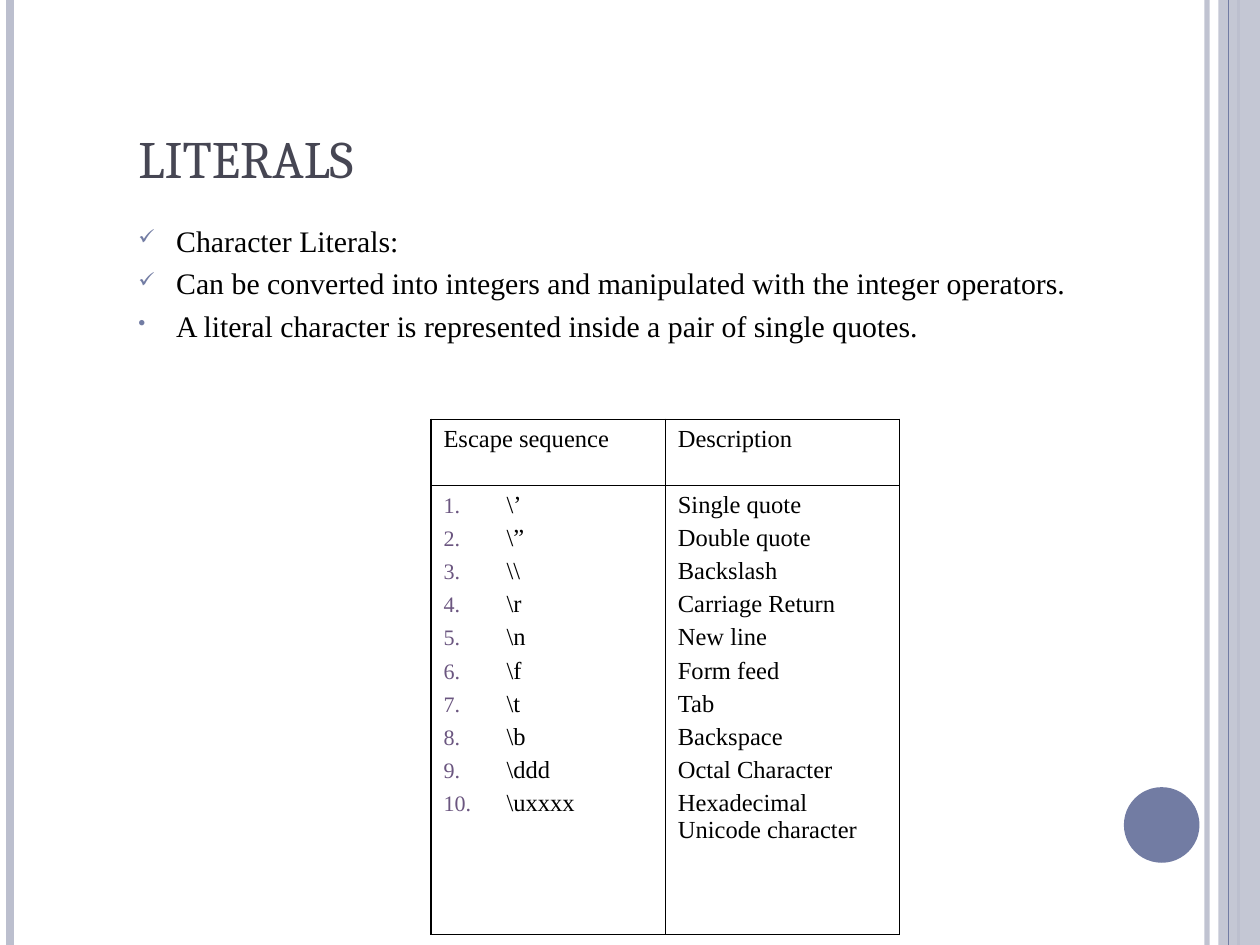
from dataclasses import dataclass

from lxml.etree import SubElement
from pptx import Presentation
from pptx.dml.color import RGBColor
from pptx.enum.shapes import MSO_CONNECTOR, MSO_SHAPE
from pptx.enum.text import MSO_ANCHOR
from pptx.oxml.ns import qn
from pptx.util import Inches, Pt

SLATE = RGBColor(0x72, 0x7C, 0xA3)
MIST = RGBColor(0xBC, 0xBF, 0xCE)
INK = RGBColor(0x46, 0x46, 0x53)
PLUM = RGBColor(0x6B, 0x56, 0x80)
BLACK = RGBColor(0, 0, 0)

HEADING_FONT = "Cambria"
BODY_FONT = "Times New Roman"
OUTER, INNER = 1.08, 0.45

POINTS = [
    ("✓", "Character Literals:"),
    ("✓", "Can be converted into integers and manipulated with the integer operators."),
    ("•", "A literal character is represented inside a pair of single quotes."),
]
HEADINGS = ["Escape sequence", "Description"]
ESCAPES = [
    ("\\’", "Single quote"),
    ("\\”", "Double quote"),
    ("\\\\", "Backslash"),
    ("\\r", "Carriage Return"),
    ("\\n", "New line"),
    ("\\f", "Form feed"),
    ("\\t", "Tab"),
    ("\\b", "Backspace"),
    ("\\ddd", "Octal Character"),
    ("\\uxxxx", "Hexadecimal Unicode character"),
]


@dataclass
class Box:
    """A rectangle on the slide."""

    left: int
    top: int
    width: int
    height: int

    def inner(self, x, y, width, height):
        """Return the inner box at the given shares of this one."""
        return Box(
            int(self.left + x * self.width),
            int(self.top + y * self.height),
            int(width * self.width),
            int(height * self.height),
        )

    def frame(self):
        """Return the position and size in drawing order."""
        return self.left, self.top, self.width, self.height


def set_alpha(fill_parent, percent):
    """Make the solid colour under an element partly transparent."""
    color = next(fill_parent.iter(qn("a:srgbClr")))
    SubElement(color, qn("a:alpha"), val=str(percent * 1000))


def set_bullet(paragraph, color, percent, indent, mark=None):
    """Give a paragraph a hanging bullet, or a number when no mark is given."""
    properties = paragraph._p.get_or_add_pPr()
    properties.set("marL", str(Inches(indent)))
    properties.set("indent", str(-Inches(indent)))
    SubElement(SubElement(properties, qn("a:buClr")), qn("a:srgbClr"), val=str(color))
    SubElement(properties, qn("a:buSzPct"), val=str(percent * 1000))
    if mark:
        SubElement(properties, qn("a:buChar"), char=mark)
    else:
        SubElement(properties, qn("a:buAutoNum"), type="arabicPeriod")


def set_font(paragraph, name, size, color):
    """Set the font of a whole paragraph."""
    paragraph.font.name = name
    paragraph.font.size = Pt(size)
    paragraph.font.color.rgb = color


def write_lines(text_frame, lines):
    """Write one paragraph per line and return the paragraphs."""
    text_frame.text = "\n".join(lines)
    return text_frame.paragraphs


def add_stripe(slide, box, share, color, weight, alpha=100):
    """Draw a full-height vertical line at a share of the box width."""
    x = int(box.left + share * box.width)
    stripe = slide.shapes.add_connector(
        MSO_CONNECTOR.STRAIGHT, x, box.top, x, box.top + box.height
    )
    stripe.line.color.rgb = color
    stripe.line.width = Pt(weight)
    if alpha < 100:
        set_alpha(stripe.line._ln, alpha)
    SubElement(stripe._element.spPr, qn("a:effectLst"))


def add_solid(slide, box, preset, color):
    """Draw a plain filled shape without outline."""
    solid = slide.shapes.add_shape(preset, *box.frame())
    solid.shadow.inherit = False
    solid.fill.solid()
    solid.fill.fore_color.rgb = color
    solid.line.fill.background()
    return solid


def add_decoration(slide, box):
    """Draw the edge stripes, the side band and the disc."""
    add_stripe(slide, box, 0.958, MIST, 3, 93)
    add_stripe(slide, box, 0.008, MIST, 4.5)
    add_stripe(slide, box, 0.983, MIST, 1.5)
    band = add_solid(slide, box.inner(0.967, 0, 0.033, 1), MSO_SHAPE.RECTANGLE, MIST)
    set_alpha(band._element.spPr, 87)
    add_stripe(slide, box, 0.975, SLATE, 0.75)
    add_solid(slide, box.inner(0.892, 0.833, 0.06, 0.08), MSO_SHAPE.OVAL, SLATE)


def add_title(slide, box):
    """Write the slide title at the bottom of its box."""
    frame = slide.shapes.add_textbox(*box.frame()).text_frame
    frame.word_wrap = True
    frame.vertical_anchor = MSO_ANCHOR.BOTTOM
    for paragraph in write_lines(frame, ["LITERALS"]):
        set_font(paragraph, HEADING_FONT, 30, INK)


def add_points(slide, box):
    """Write the bulleted points."""
    frame = slide.shapes.add_textbox(*box.frame()).text_frame
    frame.word_wrap = True
    paragraphs = write_lines(frame, [text for _, text in POINTS])
    for index, (paragraph, (mark, _)) in enumerate(zip(paragraphs, POINTS)):
        set_bullet(paragraph, SLATE, 70, 0.3, mark)
        paragraph.line_spacing = 0.9
        paragraph.space_before = Pt(6 if index else 0)
        set_font(paragraph, BODY_FONT, 17, BLACK)


def set_borders(cell, row, column):
    """Draw heavy borders on the table's outside and thin ones inside."""
    weights = {
        "a:lnL": INNER if column else OUTER,
        "a:lnR": OUTER if column else INNER,
        "a:lnT": INNER if row else OUTER,
        "a:lnB": OUTER if row else INNER,
    }
    properties = cell._tc.get_or_add_tcPr()
    for side, weight in weights.items():
        border = SubElement(properties, qn(side), w=str(Pt(weight)))
        fill = SubElement(border, qn("a:solidFill"))
        SubElement(fill, qn("a:srgbClr"), val=str(BLACK))


def add_escape_table(slide, box):
    """Build the table of escape sequences and their descriptions."""
    table = slide.shapes.add_table(2, 2, *box.frame()).table
    table.first_row = table.horz_banding = False
    table.rows[0].height = int(box.height * 0.127)
    table.rows[1].height = box.height - table.rows[0].height
    for column, (heading, entries) in enumerate(zip(HEADINGS, zip(*ESCAPES))):
        for row, lines in enumerate([[heading], entries]):
            cell = table.cell(row, column)
            set_borders(cell, row, column)
            cell.fill.background()
            for index, paragraph in enumerate(write_lines(cell.text_frame, lines)):
                if row == 1 and column == 0:
                    set_bullet(paragraph, PLUM, 90, 0.5)
                paragraph.space_before = Pt(3.5 if index else 0)
                set_font(paragraph, BODY_FONT, 14, BLACK)


def main():
    """Build and save the slide."""
    deck = Presentation()
    deck.slide_width, deck.slide_height = Inches(10), Inches(7.5)
    slide = deck.slides.add_slide(deck.slide_layouts[6])
    page = Box(0, 0, deck.slide_width, deck.slide_height)
    add_decoration(slide, page)
    add_title(slide, page.inner(0.1, 0.04, 0.85, 0.167))
    add_points(slide, page.inner(0.1, 0.233, 0.825, 0.156))
    add_escape_table(slide, page.inner(0.342, 0.444, 0.372, 0.545))
    deck.save("out.pptx")


if __name__ == "__main__":
    main()
